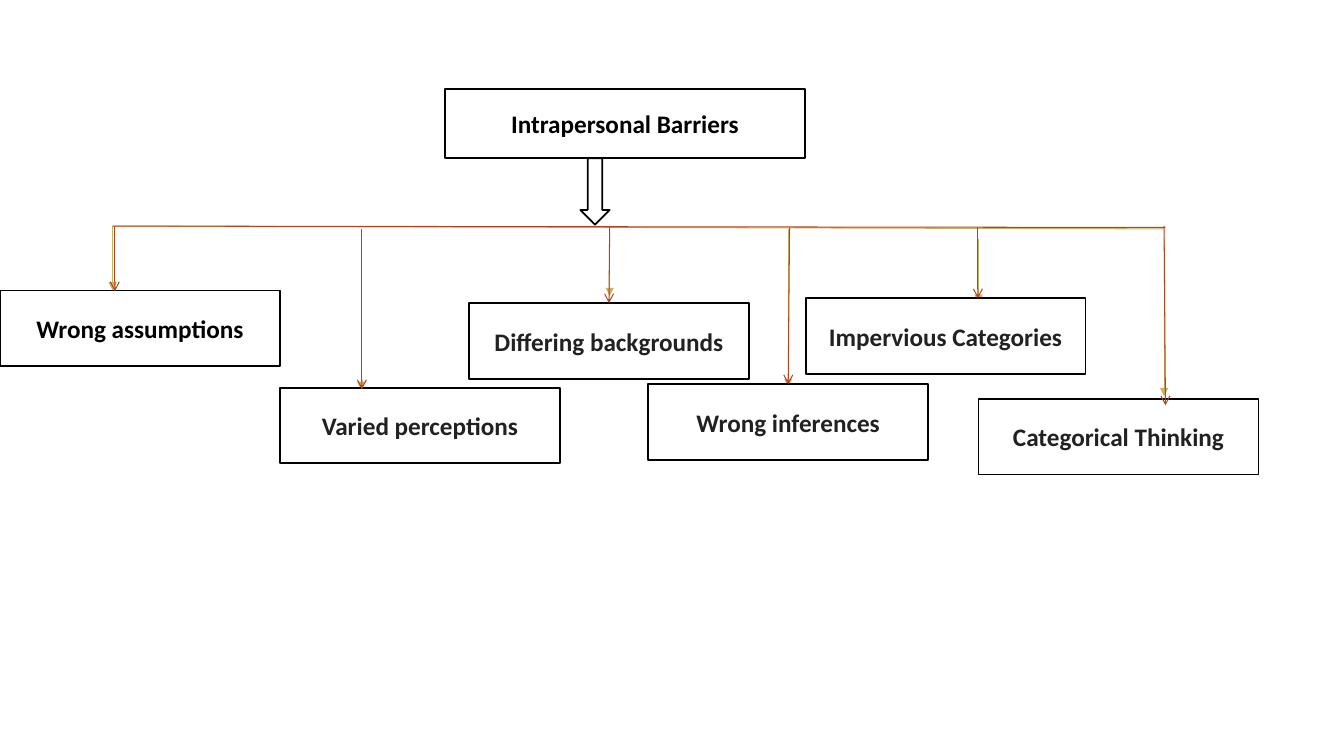
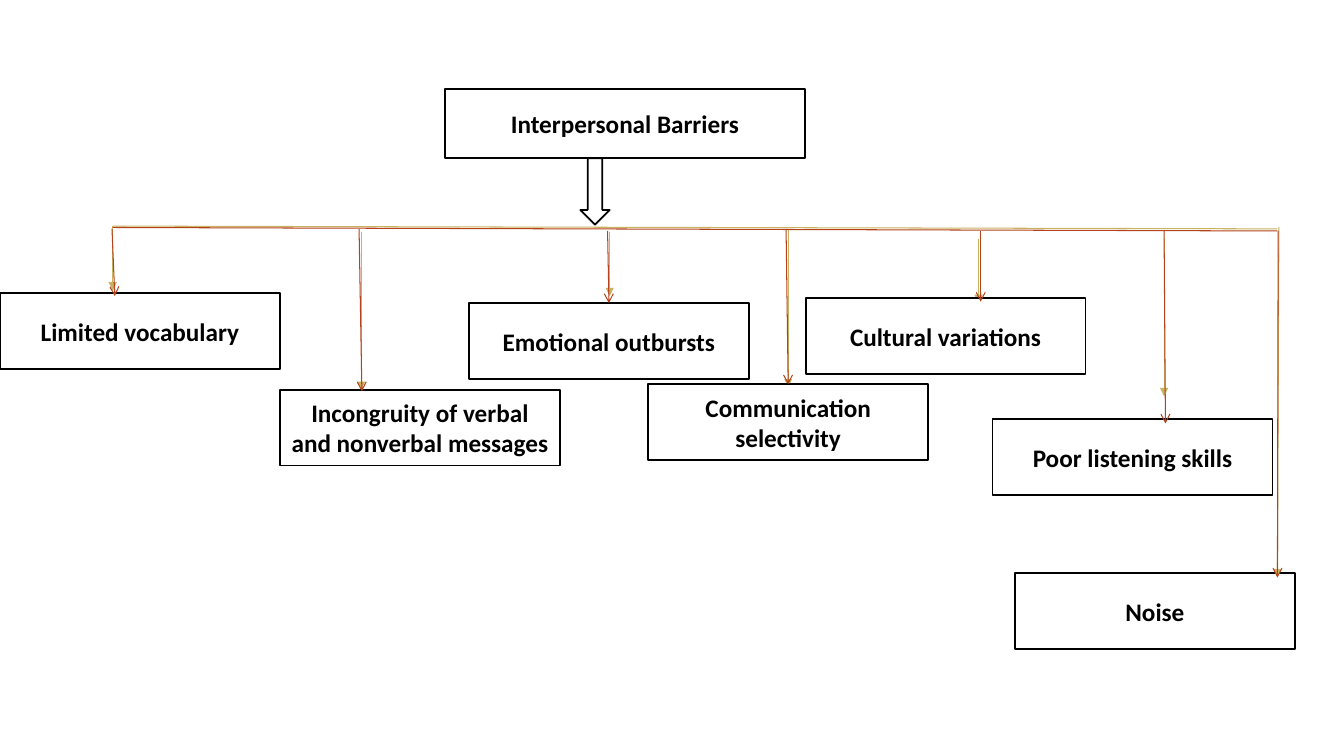
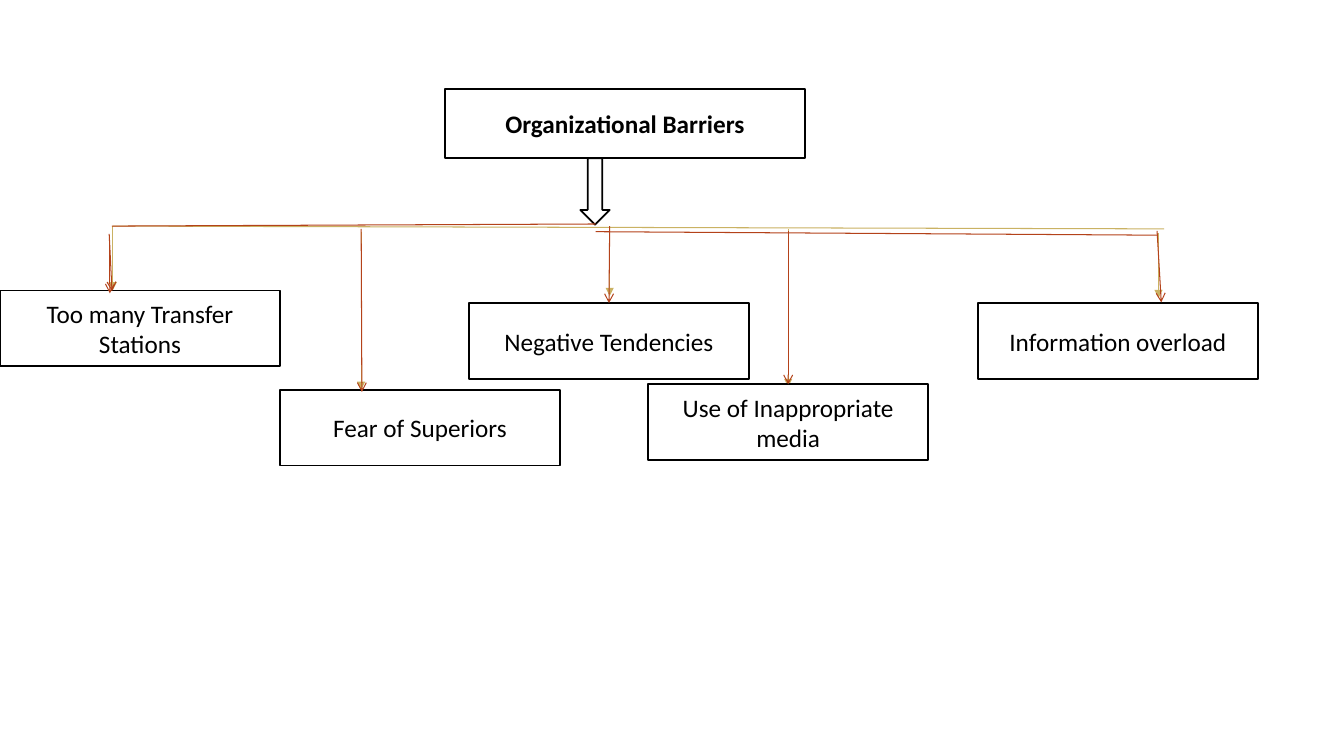
"""Builds three charts of barriers to communication."""
from dataclasses import dataclass

from lxml.etree import SubElement
from pptx import Presentation
from pptx.dml.color import RGBColor
from pptx.enum.shapes import MSO_CONNECTOR, MSO_SHAPE
from pptx.enum.text import MSO_ANCHOR, PP_ALIGN
from pptx.oxml.ns import qn
from pptx.util import Pt


@dataclass(frozen=True)
class Theme:
    font: str = "Calibri"
    size: float = 18
    black: str = "000000"
    dark: str = "212123"
    white: str = "FFFFFF"
    gold: str = "CAB263"
    rust: str = "B4421A"
    edge: float = 1.25
    thin: float = 0.75
    wide: float = 200
    high: float = 54


class Deck:
    def __init__(self, theme):
        self.theme = theme
        self.show = Presentation()
        self.show.slide_width, self.show.slide_height = Pt(960), Pt(540)

    def start(self):
        self.slide = self.show.slides.add_slide(self.show.slide_layouts[6])
        self.tops = {}

    def shape(self, kind, x, y, w, h):
        item = self.slide.shapes.add_shape(kind, Pt(x), Pt(y), Pt(w), Pt(h))
        item.shadow.inherit = False
        item.fill.solid()
        item.fill.fore_color.rgb = RGBColor.from_string(self.theme.white)
        item.line.color.rgb = RGBColor.from_string(self.theme.black)
        item.line.width = Pt(self.theme.edge)
        return item

    def box(self, text, x, y, w, h, color, bold):
        item = self.shape(MSO_SHAPE.RECTANGLE, x, y, w, h)
        self.tops[x + w / 2, y] = item
        frame = item.text_frame
        frame.word_wrap = True
        frame.vertical_anchor = MSO_ANCHOR.MIDDLE
        para = frame.paragraphs[0]
        para.alignment = PP_ALIGN.CENTER
        run = para.add_run()
        run.text = text
        run.font.name = self.theme.font
        run.font.size = Pt(self.theme.size)
        run.font.bold = bold
        run.font.color.rgb = RGBColor.from_string(color)

    def line(self, x1, y1, x2, y2, color, head=None):
        link = self.slide.shapes.add_connector(
            MSO_CONNECTOR.STRAIGHT, Pt(x1), Pt(y1), Pt(x2), Pt(y2))
        link.line.color.rgb = RGBColor.from_string(color)
        link.line.width = Pt(self.theme.thin)
        props = link._element.spPr
        if head:
            SubElement(props.find(qn("a:ln")), qn("a:tailEnd"), type=head)
        SubElement(props, qn("a:effectLst"))
        if head and (x2, y2) in self.tops:
            link.end_connect(self.tops[x2, y2], 0)

    def gold(self, *ends):
        self.line(*ends, self.theme.gold, "triangle")

    def rust(self, *ends):
        self.line(*ends, self.theme.rust, "arrow")

    def title(self, text):
        self.box(text, 318, 63.5, 257, 49.5, self.theme.black, True)
        self.shape(MSO_SHAPE.DOWN_ARROW, 414.5, 113, 21, 47.5)

    def chart(self, title, right, stems, boxes, bars, drops, late=(), bold=True):
        theme = self.theme
        self.start()
        self.title(title)
        self.line(80.5, 161.5, right, 163.5, theme.gold)
        for x, top, end in STEMS + stems:
            self.gold(x, top, x, end)
        for text, x, y, color in boxes:
            self.box(text, x, y, theme.wide, theme.high, color, bold)
        for ends in late:
            self.gold(*ends)
        for ends in bars:
            self.line(*ends, theme.rust)
        for ends in drops:
            self.rust(*ends)


THEME = Theme()
BLACK, DARK = THEME.black, THEME.dark
STEMS = [(80.5, 161.5, 207.5), (258, 165.5, 278.5),
         (435.5, 165.5, 211.5), (563, 163.5, 276.5)]
PAIR = [(699, 170.5, 216.5), (831.5, 170.5, 283)]


def main():
    deck = Deck(THEME)
    deck.chart(
        "Intrapersonal Barriers", 831.5, PAIR,
        boxes=[("Wrong assumptions", 0, 207.5, BLACK),
               ("Varied perceptions", 200, 277, DARK),
               ("Differing backgrounds", 335, 216.5, DARK),
               ("Wrong inferences", 463, 274.5, DARK),
               ("Impervious Categories", 575.5, 213, DARK),
               ("Categorical Thinking", 699, 285, DARK)],
        bars=[(80.5, 161.5, 832.5, 162.5)],
        drops=[(82, 162.5, 82, 208), (258.5, 163.5, 258.5, 278),
               (435.5, 162.5, 435, 216.5), (564, 162.5, 563, 274.5),
               (698.5, 162.5, 698.5, 213), (831.5, 161.5, 832.5, 289.5)])
    deck.chart(
        "Interpersonal Barriers", 912.5, PAIR,
        boxes=[("Limited vocabulary", 0, 209.5, BLACK),
               ("Incongruity of verbal and nonverbal messages", 200, 278.5, BLACK),
               ("Emotional outbursts", 335, 216.5, BLACK),
               ("Communication selectivity", 463, 274.5, BLACK),
               ("Cultural variations", 575.5, 213, BLACK),
               ("Noise", 725, 409.5, BLACK),
               ("Poor listening skills", 709, 299.5, BLACK)],
        late=[(913.5, 162, 912.5, 412.5)],
        bars=[(80.5, 162.5, 912.5, 165)],
        drops=[(913, 165, 912.5, 412.5), (80, 163.5, 82, 211.5),
               (256.5, 163.5, 258.5, 279.5), (434, 165, 435, 216.5),
               (561.5, 163.5, 563, 274.5), (700.5, 165, 700.5, 215.5),
               (831.5, 165, 832.5, 302.5)])
    deck.chart(
        "Organizational Barriers", 831.5, [(827.5, 166.5, 213)], bold=False,
        boxes=[("Too many Transfer Stations", 0, 207.5, BLACK),
               ("Fear of Superiors", 200, 278.5, BLACK),
               ("Negative Tendencies", 335, 216.5, BLACK),
               ("Use of Inappropriate media", 463, 274.5, BLACK),
               ("Information overload", 698.5, 216.5, BLACK)],
        bars=[(425.5, 160, 80, 161.5), (425.5, 165.5, 826.5, 168)],
        drops=[(78, 167, 80, 208), (258, 163.5, 258.5, 280),
               (435.5, 161.5, 435, 216.5), (563, 165, 563, 274.5),
               (826.5, 165, 829.5, 216), (78.5, 169, 78.5, 209.5)])
    deck.show.save("out.pptx")


if __name__ == "__main__":
    main()
